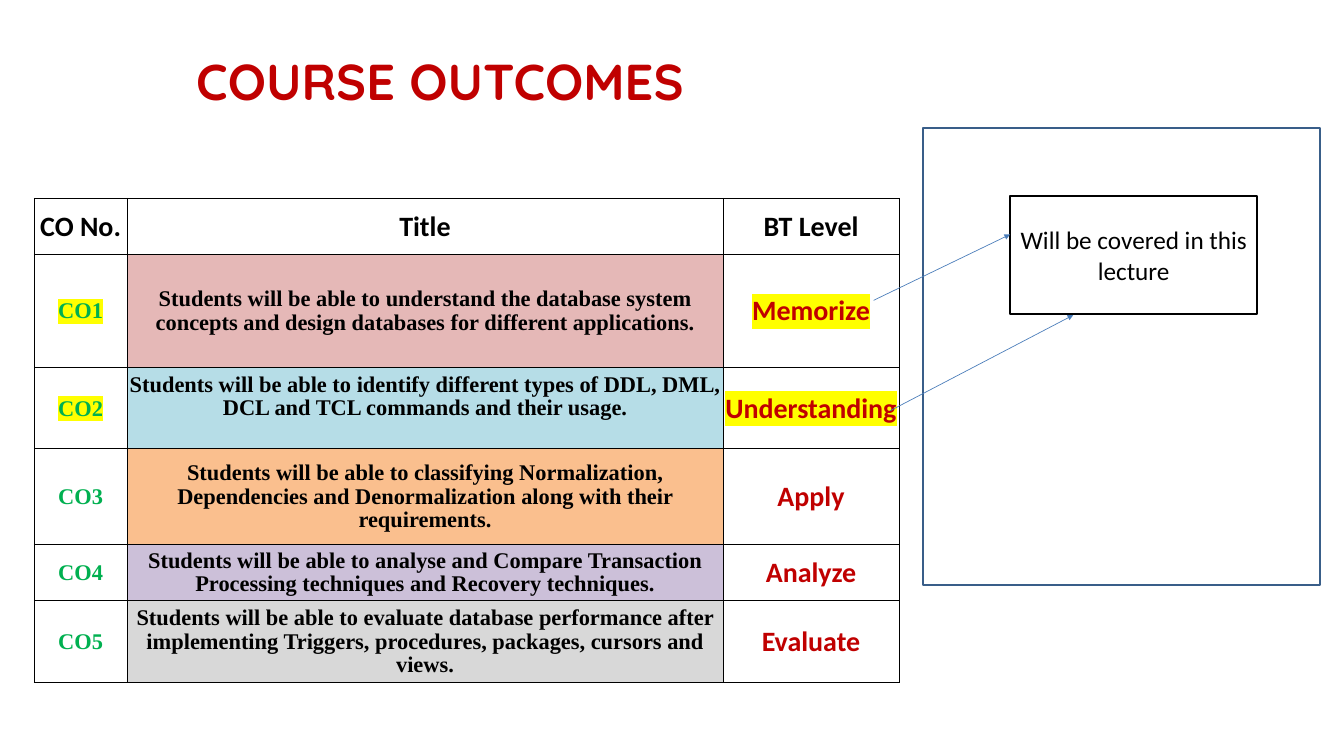
from lxml.etree import SubElement
from pptx import Presentation
from pptx.dml.color import RGBColor
from pptx.enum.shapes import MSO_CONNECTOR, MSO_SHAPE
from pptx.enum.text import MSO_ANCHOR, PP_ALIGN
from pptx.oxml import parse_xml
from pptx.oxml.ns import nsdecls, qn
from pptx.util import Inches, Pt

BLACK = RGBColor(0, 0, 0)
WHITE = RGBColor(255, 255, 255)
RED = RGBColor(0xC0, 0, 0)
GREEN = RGBColor(0, 0xB0, 0x50)
YELLOW = RGBColor(255, 255, 0)
NAVY = RGBColor(0x39, 0x5E, 0x89)
BLUE = RGBColor(0x4A, 0x7D, 0xBA)
PINK = RGBColor(0xE5, 0xB8, 0xB7)
AQUA = RGBColor(0xB6, 0xDD, 0xE7)
PEACH = RGBColor(0xFA, 0xBF, 0x8E)
LILAC = RGBColor(0xCC, 0xC0, 0xD9)
GRAY = RGBColor(0xD8, 0xD8, 0xD8)
SANS, SERIF, ROUND = "Calibri", "Times New Roman", "Quicksand"

HEADS = ["CO No.", "Title", "BT Level"]
GOALS = [
    ("CO1", "Students will be able to understand the database system concepts "
     "and design databases for different applications.", "Memorize", PINK, YELLOW),
    ("CO2", "Students will be able to identify different types of DDL, DML, "
     "DCL and TCL commands and their usage.", "Understanding", AQUA, YELLOW),
    ("CO3", "Students will be able to classifying Normalization, Dependencies "
     "and Denormalization along with their requirements.", "Apply", PEACH, None),
    ("CO4", "Students will be able to analyse and Compare Transaction Processing "
     "techniques and Recovery techniques.", "Analyze", LILAC, None),
    ("CO5", "Students will be able to evaluate database performance after "
     "implementing Triggers, procedures, packages, cursors and views.",
     "Evaluate", GRAY, None),
]
NOTE = "Will be covered in this lecture"

COLS = [6.9, 44.35, 13.1]
ROWS = [7.47, 14.84, 10.84, 12.62, 7.47, 10.84]
TITLE = (14.1, 5.51, 64.7, 9.51)
GRID = (2.55, 26.22, sum(COLS), sum(ROWS))
PANEL = (68.65, 16.98, 29.55, 60.36)
CARD = (75.15, 25.96, 18.4, 15.56)
LINKS = [(65, 39.73, 75.15, 31.02), (66.25, 54.31, 79.85, 41.69)]

deck = Presentation()
deck.slide_width, deck.slide_height = Inches(20), Inches(11.25)
slide = deck.slides.add_slide(deck.slide_layouts[5])
shapes = slide.shapes


def across(share):
    return round(deck.slide_width * share / 100)


def down(share):
    return round(deck.slide_height * share / 100)


def place(box):
    x, y, w, h = box
    return across(x), down(y), across(w), down(h)


def write(para, text, size, face, color, bold=True, mark=None):
    run = para.add_run()
    run.text = text
    font = run.font
    font.size, font.bold = Pt(size), bold
    font.color.rgb = color
    if mark:
        glow = SubElement(font._element, qn("a:highlight"))
        SubElement(glow, qn("a:srgbClr"), val=str(mark))
    font.name = face


def edge(cell, sides):
    props = cell._tc.get_or_add_tcPr()
    for spot, (side, width) in enumerate(sides.items()):
        props.insert(spot, parse_xml(
            f'<a:ln{side} {nsdecls("a")} w="{Pt(width)}"><a:solidFill>'
            f'<a:srgbClr val="{BLACK}"/></a:solidFill></a:ln{side}>'))


def frame(box, line):
    shape = shapes.add_shape(MSO_SHAPE.RECTANGLE, *place(box))
    shape.shadow.inherit = False
    shape.fill.background()
    shape.line.color.rgb = line
    shape.line.width = Pt(2)
    return shape


title = shapes.title
title.left, title.top, title.width, title.height = place(TITLE)
title.text_frame.vertical_anchor = MSO_ANCHOR.BOTTOM
head = title.text_frame.paragraphs[0]
head.alignment = PP_ALIGN.LEFT
write(head, "COURSE OUTCOMES", 54, ROUND, RED)

table = shapes.add_table(len(ROWS), len(COLS), *place(GRID)).table
table.first_row = table.horz_banding = False
for col, share in zip(table.columns, COLS):
    col.width = across(share)
for row, share in zip(table.rows, ROWS):
    row.height = down(share)

styles = [(24, SERIF, GREEN), (24, SERIF, BLACK), (30, SANS, RED)]
for r in range(len(ROWS)):
    for c in range(len(COLS)):
        cell = table.cell(r, c)
        cell.vertical_anchor = MSO_ANCHOR.MIDDLE
        cell.margin_left = cell.margin_right = cell.margin_top = Inches(0.02)
        cell.margin_bottom = 0
        cell.fill.background()
        para = cell.text_frame.paragraphs[0]
        para.alignment = PP_ALIGN.CENTER
        if r == 0:
            write(para, HEADS[c], 30, SANS, BLACK)
        else:
            goal = GOALS[r - 1]
            if c == 1:
                cell.fill.solid()
                cell.fill.fore_color.rgb = goal[3]
                para.line_spacing = 0.95
                if r == 2:
                    cell.margin_bottom = Inches(0.35)
            write(para, goal[c], *styles[c], mark=None if c == 1 else goal[4])
        edge(cell, {
            "L": 1 if c == 0 else 0.75,
            "R": 1 if c == len(COLS) - 1 else 0.75,
            "T": 1 if r == 0 else 0.75,
            "B": 1 if r == len(ROWS) - 1 else 0.75,
        })

frame(PANEL, NAVY)
card = frame(CARD, BLACK)
card.fill.solid()
card.fill.fore_color.rgb = WHITE
body = card.text_frame
body.word_wrap = True
body.vertical_anchor = MSO_ANCHOR.MIDDLE
body.margin_left = body.margin_right = Inches(0.15)
body.margin_top = body.margin_bottom = Inches(0.07)
body.paragraphs[0].alignment = PP_ALIGN.CENTER
write(body.paragraphs[0], NOTE, 27, SANS, BLACK, bold=False)

for x1, y1, x2, y2 in LINKS:
    link = shapes.add_connector(
        MSO_CONNECTOR.STRAIGHT, across(x1), down(y1), across(x2), down(y2))
    link.line.color.rgb = BLUE
    link.line.width = Pt(0.75)
    SubElement(link.line._get_or_add_ln(), qn("a:tailEnd"), type="triangle")
    SubElement(link._element.spPr, qn("a:effectLst"))

deck.save("out.pptx")
